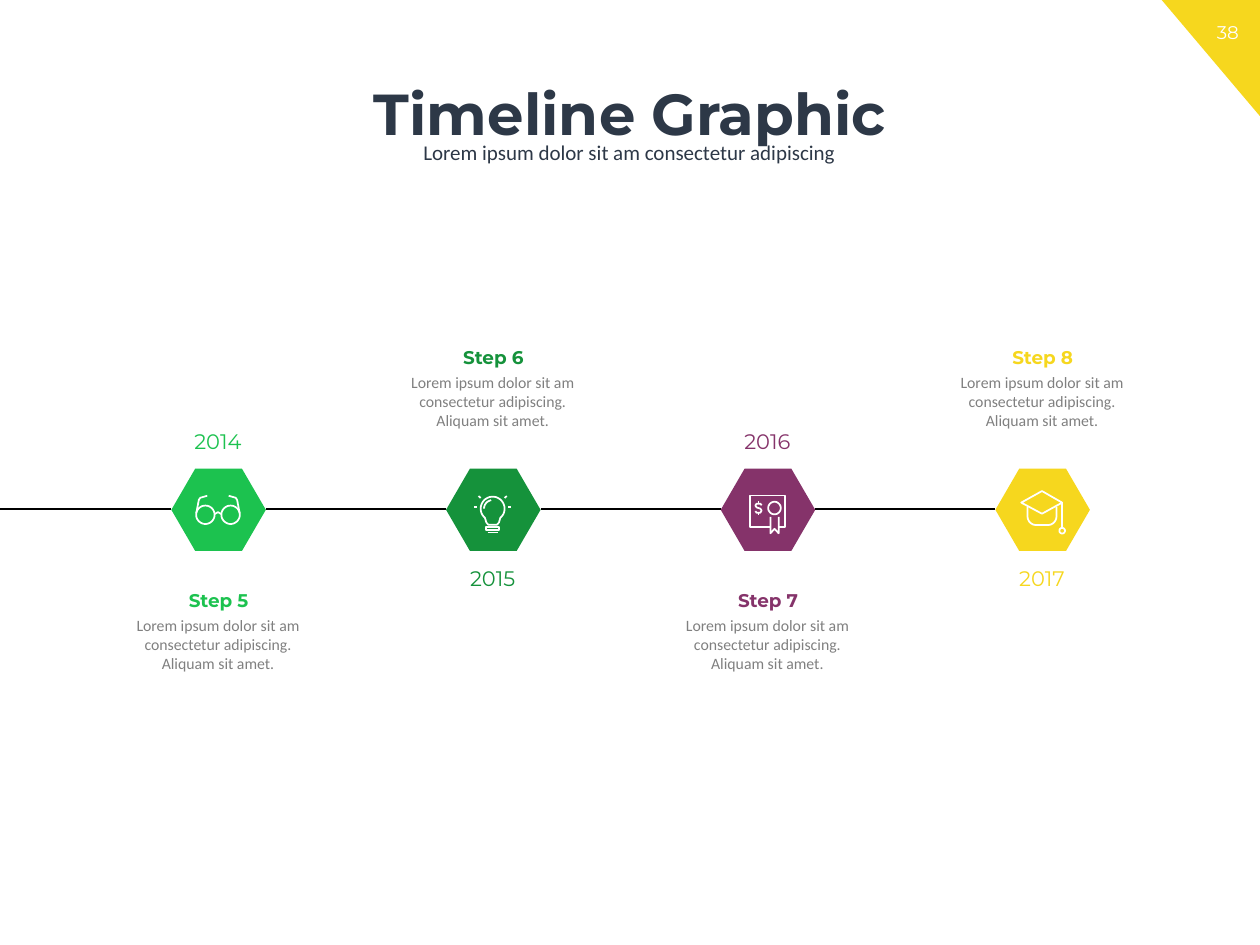
from dataclasses import dataclass
from math import cos, radians, sin

from lxml.etree import SubElement
from pptx import Presentation
from pptx.dml.color import RGBColor
from pptx.enum.shapes import MSO_CONNECTOR as Connector, MSO_SHAPE as Preset
from pptx.enum.text import MSO_ANCHOR as Anchor, MSO_AUTO_SIZE as AutoSize, PP_ALIGN as Align
from pptx.oxml.ns import qn
from pptx.util import Inches, Pt


@dataclass(frozen=True)
class Theme:
    heading: str = "Montserrat"
    body: str = "Calibri"
    ink: str = "2D3847"
    gray: str = "808080"
    white: str = "FFFFFF"
    black: str = "000000"
    lime: str = "1CC24F"
    green: str = "15923B"
    plum: str = "85336A"
    yellow: str = "F6D71E"
    title_size: float = 33
    medium_size: float = 12
    label_size: float = 10.5
    small_size: float = 9


theme = Theme()


def write(shape, text, size, font, color, bold=False, wrap=True, anchor=Anchor.TOP, spacing=1.0):
    frame = shape.text_frame
    frame.word_wrap = wrap
    frame.auto_size = AutoSize.NONE
    frame.vertical_anchor = anchor
    frame.margin_left = frame.margin_right = Inches(0.1)
    frame.margin_top = frame.margin_bottom = Inches(0.05)
    paragraph = frame.paragraphs[0]
    paragraph.alignment = Align.CENTER
    paragraph.line_spacing = spacing
    paragraph.space_before = Pt(0)
    run = paragraph.add_run()
    run.text = text
    run.font.size = Pt(size)
    run.font.name = font
    run.font.bold = bold
    run.font.color.rgb = RGBColor.from_string(color)


def arc(center_x, center_y, radius, start=0, end=360):
    angles = [radians(start + (end - start) * step / 36) for step in range(37)]
    return [(center_x + radius * cos(angle), center_y + radius * sin(angle)) for angle in angles]


presentation = Presentation()
presentation.slide_width, presentation.slide_height = Inches(10), Inches(7.5)
column = presentation.slide_width // 1000
row = presentation.slide_height // 1000
slide = presentation.slides.add_slide(presentation.slide_layouts[0])
shapes = slide.shapes

corner = shapes.add_shape(Preset.RIGHT_TRIANGLE, 922 * column, 0, 78 * column, 123 * row)
corner.rotation = 180
corner.shadow.inherit = False
corner.fill.solid()
corner.fill.fore_color.rgb = RGBColor.from_string(theme.yellow)
corner.line.fill.background()
page_number = shapes.add_textbox(949 * column, 16 * row, 51 * column, 37 * row)
write(page_number, "38", theme.label_size, theme.heading, theme.white)

title, subtitle = slide.placeholders
title.left, title.top, title.width, title.height = 57 * column, 84 * row, 886 * column, 97 * row
write(title, "Timeline Graphic", theme.title_size, theme.heading, theme.ink, bold=True, spacing=0.9)
subtitle.left, subtitle.top, subtitle.width, subtitle.height = 139 * column, 145 * row, 721 * column, 35 * row
write(subtitle, "Lorem ipsum dolor sit am consectetur adipiscing", theme.medium_size, theme.body,
      theme.ink, anchor=Anchor.MIDDLE, spacing=0.9)

glasses = [
    arc(-100, 43, 73), arc(100, 43, 73),
    [(-27, 38), (0, 22), (27, 38)],
    [(-172, 30), (-152, -75), (-140, -92), (-85, -108)],
    [(172, 30), (152, -75), (140, -92), (85, -108)],
]
bulb = [
    arc(0, -5, 95, 130, 410) + [(50, 105), (35, 122), (-35, 122), (-50, 105), (-61, 68)],
    arc(0, -5, 68, 180, 260),
    [(-50, 140), (50, 140), (50, 165), (-50, 165), (-50, 140)],
    [(-40, 183), (40, 183)],
    [(-145, -20), (-125, -20)], [(145, -20), (125, -20)],
    [(-112, -105), (-95, -90)], [(112, -105), (95, -90)],
]
certificate = [
    [(25, 140), (-140, 140), (-140, -110), (140, -110), (140, 140), (90, 140)],
    [(25, 60), (25, 190), (57, 155), (90, 190), (90, 60)],
    arc(57, -10, 50),
    [(-45, -32), (-55, -45), (-85, -45), (-95, -30), (-85, -15),
     (-55, -5), (-45, 10), (-55, 27), (-85, 27), (-95, 15)],
    [(-70, -62), (-70, -45)], [(-70, 27), (-70, 43)],
]
graduation_cap = [
    [(-165, -53), (0, -145), (160, -53), (0, 35), (-165, -53)],
    [(-115, -20)] + arc(-45, 55, 70, 180, 90) + arc(45, 55, 70, 90, 0) + [(115, -20)],
    [(160, -53), (160, 148)],
    arc(160, 170, 22),
]

steps = [
    ("Step 5", "2014", theme.lime, glasses),
    ("Step 6", "2015", theme.green, bulb),
    ("Step 7", "2016", theme.plum, certificate),
    ("Step 8", "2017", theme.yellow, graduation_cap),
]
description = "Lorem ipsum dolor sit am consectetur adipiscing. Aliquam sit amet."
first_center, pitch, middle = 173, 218, 539
line_start = 0

for index, (label, year, color, icon) in enumerate(steps):
    center = first_center + index * pitch
    text_above = index % 2 == 1
    label_top, year_top = (360, 592) if text_above else (617, 447)

    connector = shapes.add_connector(Connector.STRAIGHT, line_start * column, middle * row,
                                     (center - 37) * column, middle * row)
    connector.line.color.rgb = RGBColor.from_string(theme.black)
    connector.line.width = Pt(1)
    SubElement(connector._element.spPr, qn("a:effectLst"))
    line_start = center + 38

    hexagon = shapes.add_shape(Preset.HEXAGON, (center - 37) * column, 496 * row, 75 * column, 87 * row)
    hexagon.adjustments[0] = 0.29
    hexagon.shadow.inherit = False
    hexagon.fill.solid()
    hexagon.fill.fore_color.rgb = RGBColor.from_string(color)
    hexagon.line.fill.background()

    builder = shapes.build_freeform(*icon[0][0], scale=column / 10)
    builder.add_line_segments(icon[0][1:], close=False)
    for stroke in icon[1:]:
        builder.move_to(*stroke[0])
        builder.add_line_segments(stroke[1:], close=False)
    drawing = builder.convert_to_shape(center * column, middle * row)
    drawing.shadow.inherit = False
    drawing.fill.background()
    drawing.line.color.rgb = RGBColor.from_string(theme.white)
    drawing.line.width = Pt(1)

    label_box = shapes.add_textbox((center - 34) * column, label_top * row, 69 * column, 37 * row)
    write(label_box, label, theme.label_size, theme.heading, color, bold=True, wrap=False)
    description_box = shapes.add_textbox((center - 75) * column, (label_top + 28) * row, 150 * column, 95 * row)
    write(description_box, description, theme.small_size, theme.body, theme.gray)
    year_box = shapes.add_textbox((center - 31) * column, year_top * row, 62 * column, 40 * row)
    write(year_box, year, theme.medium_size, theme.heading, color, wrap=False)

presentation.save("out.pptx")
